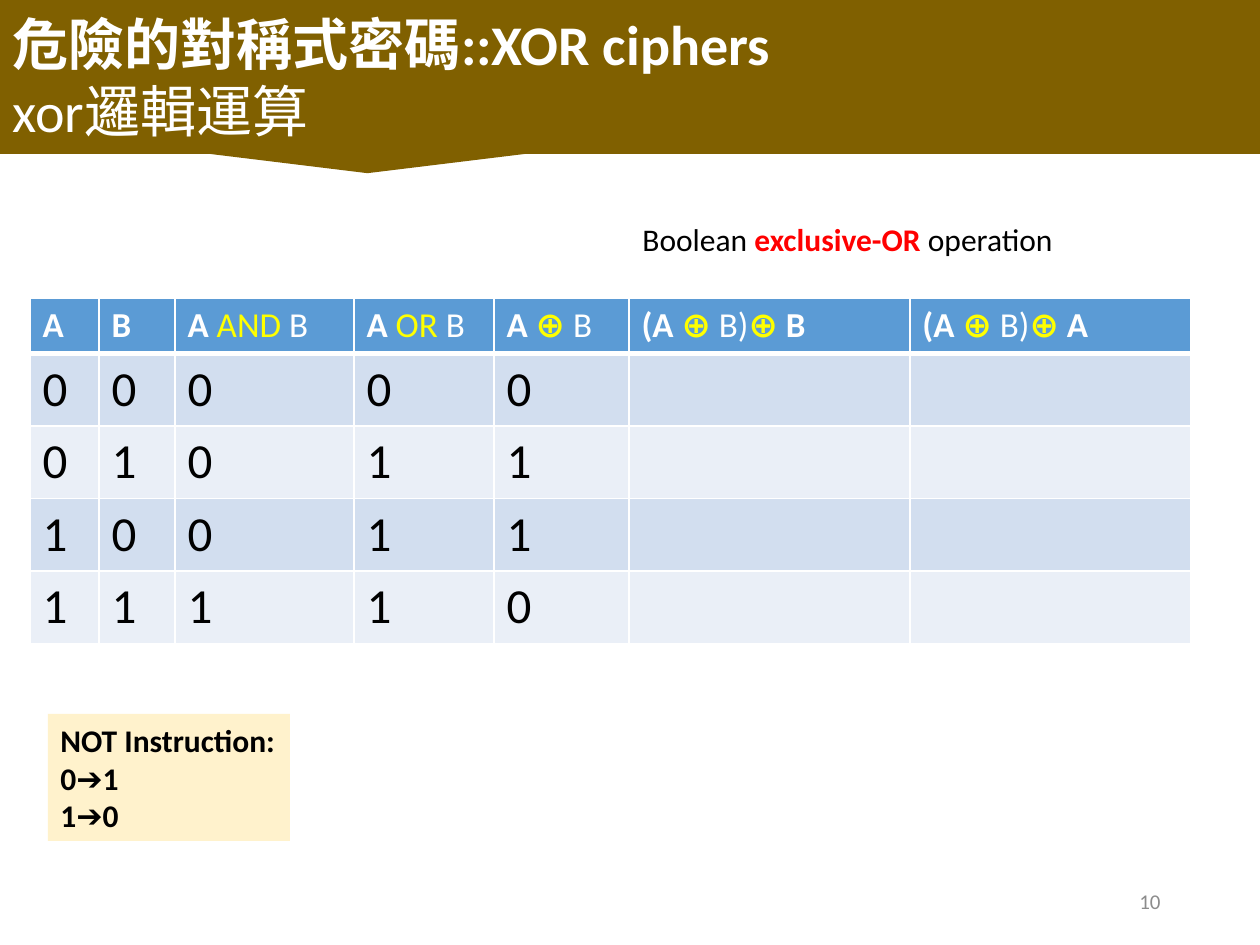
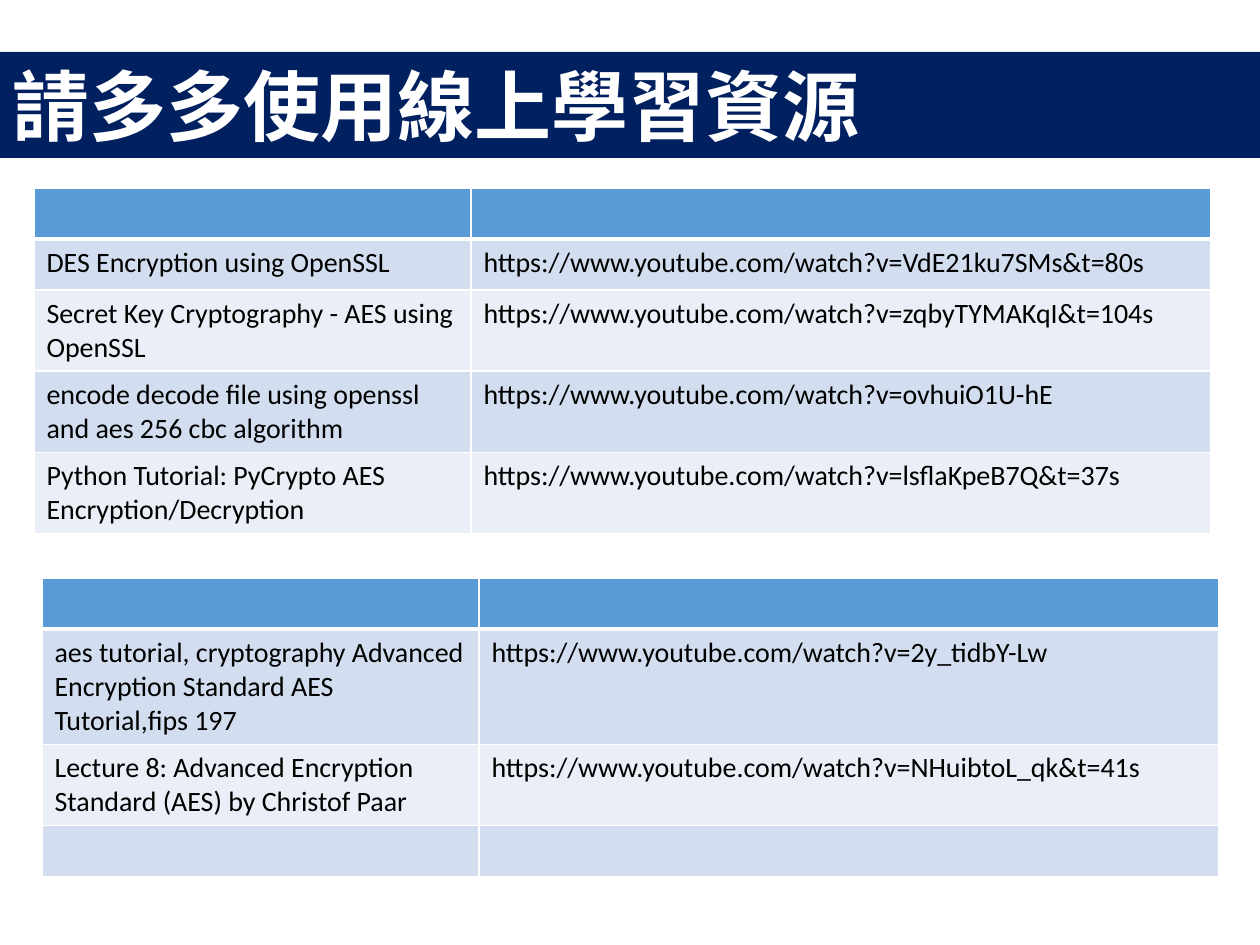
from dataclasses import dataclass

from lxml import etree
from pptx import Presentation
from pptx.dml.color import RGBColor
from pptx.enum.shapes import MSO_SHAPE
from pptx.enum.text import MSO_ANCHOR, MSO_AUTO_SIZE, PP_ALIGN
from pptx.oxml.ns import qn
from pptx.util import Emu, Pt

RECT = MSO_SHAPE.RECTANGLE
CALLOUT = MSO_SHAPE.RECTANGULAR_CALLOUT
MIDDLE = MSO_ANCHOR.MIDDLE
LEFT, RIGHT = PP_ALIGN.LEFT, PP_ALIGN.RIGHT
FIT_SHAPE, NO_FIT = MSO_AUTO_SIZE.SHAPE_TO_FIT_TEXT, MSO_AUTO_SIZE.NONE

PX = 914400 / 126
SLIDE_W, SLIDE_H = 1260, 945
TITLE_ONLY = 5


@dataclass(frozen=True)
class Theme:
    font: str = "Calibri"
    white: str = "FFFFFF"
    black: str = "000000"
    grey: str = "8C8C8C"
    red: str = "FF0000"
    yellow: str = "FFFF00"
    brown: str = "806000"
    navy: str = "002060"
    cream: str = "FFF2CC"
    header: str = "5B9BD5"
    bands: tuple = ("D2DEEF", "EAEFF7")
    headline: int = 44
    title: int = 32
    digit: int = 28
    column_head: int = 20
    text: int = 18
    link: int = 16
    number: int = 12


THEME = Theme()


def px(n):
    return Emu(round(n * PX))


def put_text(tf, paragraphs, align=LEFT, **fmt):
    """Fill a text frame; a paragraph is a string or a list of (text, overrides)."""
    for i, runs in enumerate(paragraphs):
        p = tf.paragraphs[0] if i == 0 else tf.add_paragraph()
        p.alignment = align
        for text, extra in [(runs, {})] if isinstance(runs, str) else runs:
            style = {"size": THEME.text, "color": THEME.black, "bold": False, **fmt, **extra}
            r = p.add_run()
            r.text = text
            r.font.name = THEME.font
            r.font.size = Pt(style["size"])
            r.font.bold = style["bold"]
            r.font.color.rgb = RGBColor.from_string(style["color"])


def set_borders(cell, color, **widths):
    """Draw cell borders; widths are points keyed by the sides L, R, T and B."""
    tc_pr = cell._tc.get_or_add_tcPr()
    for i, (side, width) in enumerate(widths.items()):
        ln = etree.Element(qn(f"a:ln{side}"), w=str(Pt(width)))
        fill = etree.SubElement(ln, qn("a:solidFill"))
        etree.SubElement(fill, qn("a:srgbClr"), val=color)
        tc_pr.insert(i, ln)


class Deck:
    def __init__(self, theme):
        self.theme = theme
        self.prs = Presentation()
        self.prs.slide_width, self.prs.slide_height = px(SLIDE_W), px(SLIDE_H)
        self.s = None

    def new_slide(self):
        self.s = self.prs.slides.add_slide(self.prs.slide_layouts[TITLE_ONLY])

    def shape(self, kind, box, fill):
        sp = self.s.shapes.add_shape(kind, *map(px, box))
        sp.shadow.inherit = False
        sp.fill.solid()
        sp.fill.fore_color.rgb = RGBColor.from_string(fill)
        sp.line.fill.background()
        return sp

    def title(self, paragraphs, top, height, fill, size, kind=RECT):
        """Set the title on a full-width band."""
        box = (0, top, SLIDE_W, height)
        band = self.shape(kind, box, fill)
        title = self.s.shapes.title
        title.left, title.top, title.width, title.height = map(px, box)
        title.element.addprevious(band.element)
        tf = title.text_frame
        tf.auto_size = NO_FIT
        tf.vertical_anchor = MIDDLE
        put_text(tf, paragraphs, size=size, color=self.theme.white, bold=True)

    def text(self, paragraphs, box, **fmt):
        tf = self.s.shapes.add_textbox(*map(px, box)).text_frame
        tf.word_wrap = False
        tf.vertical_anchor = MIDDLE
        put_text(tf, paragraphs, **fmt)

    def note(self, paragraphs, box, fill, **fmt):
        tf = self.shape(RECT, box, fill).text_frame
        tf.word_wrap = False
        tf.auto_size = FIT_SHAPE
        put_text(tf, paragraphs, **fmt)

    def table(self, rows, left, top, widths, heights, size):
        """Add a banded table; an empty cell is an empty string."""
        t = self.theme
        box = (left, top, sum(widths), sum(heights))
        table = self.s.shapes.add_table(len(rows), len(widths), *map(px, box)).table
        for column, width in zip(table.columns, widths):
            column.width = px(width)
        for i, (values, height) in enumerate(zip(rows, heights)):
            table.rows[i].height = px(height)
            is_head = i == 0
            fmt = (dict(size=t.column_head, color=t.white, bold=True) if is_head
                   else dict(size=size))
            for j, value in enumerate(values):
                cell = table.cell(i, j)
                cell.fill.solid()
                fill = t.header if is_head else t.bands[(i - 1) % 2]
                cell.fill.fore_color.rgb = RGBColor.from_string(fill)
                set_borders(cell, t.white, L=1, R=1,
                            T=3 if i == 1 else 1, B=3 if is_head else 1)
                if value:
                    put_text(cell.text_frame, [value], **fmt)


def xor_slide(deck):
    t = deck.theme
    deck.new_slide()
    deck.title(["危險的對稱式密碼::XOR ciphers", [("xor邏輯運算", {"bold": False})]],
               0, 154, t.brown, t.title, CALLOUT)

    plain, operator = {"bold": False}, {"color": t.yellow}
    xor = ("⊕ ", operator)
    word = {**operator, **plain}
    header = [
        "A",
        "B",
        [("A ", {}), ("AND ", word), ("B", plain)],
        [("A ", {}), ("OR ", word), ("B", plain)],
        [("A ", {}), xor, ("B", plain)],
    ]
    header += [[("(A ", {}), xor, ("B)", plain), xor, (key, {})] for key in "BA"]
    truth = [[str(v) for v in (a, b, a & b, a | b, a ^ b)] + ["", ""]
             for a in (0, 1) for b in (0, 1)]
    deck.table([header] + truth, 30, 298, [69, 76, 179, 140, 135, 281, 281],
               [55] + [72] * 4, t.digit)

    deck.text([[("Boolean ", {}), ("exclusive-OR", {"color": t.red, "bold": True}),
                (" operation", {})]], (630, 213, 436, 51))
    deck.note(["NOT Instruction:", "0➔1", "1➔0"], (48, 714, 242, 127), t.cream, bold=True)
    deck.text(["10"], (890, 876, 283, 51), align=RIGHT, size=t.number, color=t.grey)


def resources_slide(deck):
    t = deck.theme
    deck.new_slide()
    deck.title(["請多多使用線上學習資源"], 52, 106, t.navy, t.headline)

    watch = "https://www.youtube.com/watch?v="
    tools = [
        ("DES Encryption using OpenSSL", "VdE21ku7SMs&t=80s"),
        ("Secret Key Cryptography - AES using OpenSSL", "zqbyTYMAKqI&t=104s"),
        ("encode decode file using openssl and aes 256 cbc algorithm", "ovhuiO1U-hE"),
        ("Python Tutorial: PyCrypto AES Encryption/Decryption", "lsflaKpeB7Q&t=37s"),
    ]
    lectures = [
        ("aes tutorial, cryptography Advanced Encryption Standard AES Tutorial,fips 197",
         "2y_tidbY-Lw"),
        ("Lecture 8: Advanced Encryption Standard (AES) by Christof Paar",
         "NHuibtoL_qk&t=41s"),
    ]
    blank = ("", "")
    widths = [437, 740]
    tool_rows, lecture_rows = ([(name, watch + video) for name, video in group]
                               for group in (tools, lectures))
    deck.table([blank] + tool_rows, 34, 188, widths, [51, 51, 81, 81, 81], t.link)
    deck.table([blank] + lecture_rows + [blank], 42, 578, widths, [51, 115, 81, 51], t.link)


def main():
    deck = Deck(THEME)
    xor_slide(deck)
    resources_slide(deck)
    deck.prs.save("out.pptx")


if __name__ == "__main__":
    main()
